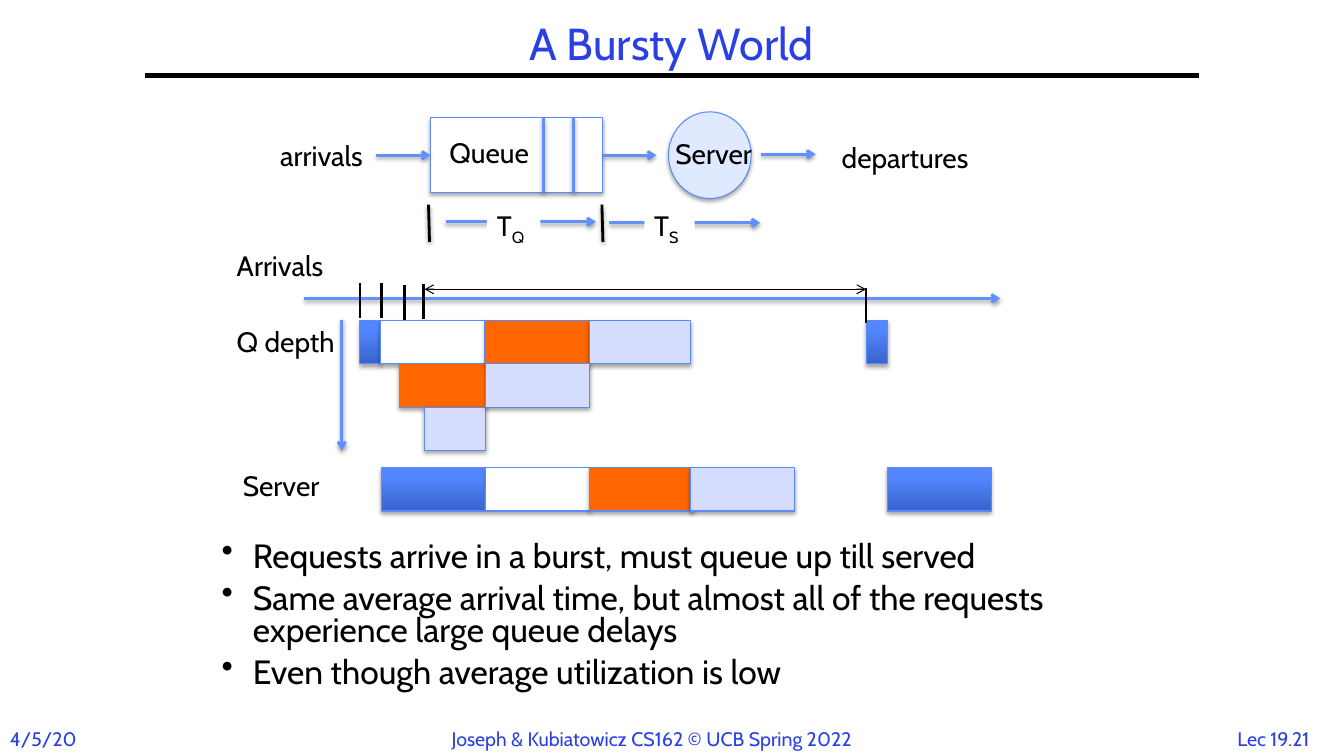
from copy import deepcopy

from lxml.etree import SubElement
from pptx import Presentation
from pptx.dml.color import RGBColor
from pptx.enum.shapes import MSO_CONNECTOR as Connector, MSO_SHAPE as Shape
from pptx.enum.text import MSO_ANCHOR as Anchor, MSO_AUTO_SIZE as AutoSize, PP_ALIGN as Align
from pptx.oxml.ns import qn
from pptx.util import Pt

PX = 9144  # 100 px to the inch
BLACK = RGBColor(0x00, 0x00, 0x00)
WHITE = RGBColor(0xFF, 0xFF, 0xFF)
INK_BLUE = RGBColor(0x2A, 0x40, 0xE2)
ARROW_BLUE = RGBColor(0x61, 0x8F, 0xFD)
EDGE_BLUE = RGBColor(0x5B, 0x8A, 0xFB)
PALE_BLUE = RGBColor(0xDF, 0xE9, 0xFF)
LILAC = RGBColor(0xD4, 0xDD, 0xFE)
ORANGE = RGBColor(0xFF, 0x66, 0x00)
DEEP_BLUE = RGBColor(0x37, 0x64, 0xCE)
MID_BLUE = RGBColor(0x54, 0x87, 0xFF)
JOB_BLUE = RGBColor(0x56, 0x88, 0xFF)

deck = Presentation()
deck.slide_width, deck.slide_height = 1333 * PX, 750 * PX
page = deck.slides.add_slide(deck.slide_layouts[6])


def add_text(text, left, top, width, height, size=20, color=BLACK, align=Align.LEFT,
             anchor=Anchor.TOP, wrap=False, line_spacing=None, gap=0, bullet=None,
             subscript=None, fill=None):
    box = page.shapes.add_textbox(left * PX, top * PX, width * PX, height * PX)
    frame = box.text_frame
    frame.word_wrap = wrap
    frame.auto_size = AutoSize.NONE if wrap else AutoSize.SHAPE_TO_FIT_TEXT
    frame.vertical_anchor = anchor
    if fill is not None:
        box.fill.solid()
        box.fill.fore_color.rgb = fill
    for index, line in enumerate(text.split("\n")):
        para = frame.add_paragraph() if index else frame.paragraphs[0]
        para.alignment = align
        if line_spacing:
            para.line_spacing = line_spacing
        if index:
            para.space_before = Pt(gap)
        if bullet:
            properties = para._p.get_or_add_pPr()
            properties.set("marL", str(31 * PX))
            properties.set("indent", str(-31 * PX))
            SubElement(properties, qn("a:buChar"), char=bullet)
        for part in filter(None, (line, subscript)):
            span = para.add_run()
            span.text = part
            span.font.name = "Cabin"
            span.font.size = Pt(size)
            span.font.color.rgb = color
            if part == subscript:
                span.font._element.set("baseline", "-25000")


def set_shadow(item, opacity, distance):
    effects = SubElement(item._element.spPr, qn("a:effectLst"))
    if opacity:
        shadow = SubElement(effects, qn("a:outerShdw"), blurRad=str(Pt(3.1)),
                            dist=str(Pt(distance)), dir="5400000", rotWithShape="0")
        tint = SubElement(shadow, qn("a:srgbClr"), val="000000")
        SubElement(tint, qn("a:alpha"), val=str(opacity * 1000))


# Queue, server and the bars of both timelines
SERVICE, BAR_HEIGHT = 103, 43
QUEUE_TOP, SERVER_TOP = 318, 464
blocks = [
    (Shape.RECTANGLE, WHITE, 427, 117, 171, 74),
    (Shape.OVAL, PALE_BLUE, 663, 111, 82, 86),
]
served_jobs = [(JOB_BLUE, 378), (WHITE, 482), (ORANGE, 585), (LILAC, 685), (JOB_BLUE, 880)]
for color, start in served_jobs:
    blocks.append((Shape.RECTANGLE, color, start, SERVER_TOP, SERVICE, BAR_HEIGHT))
waiting_jobs = [  # colour, depth, start, end
    (JOB_BLUE, 0, 357, 378), (WHITE, 0, 377, 481), (ORANGE, 1, 396, 483),
    (ORANGE, 0, 481, 585), (LILAC, 2, 421, 482), (LILAC, 0, 585, 685),
    (LILAC, 1, 482, 585), (JOB_BLUE, 0, 859, 880),
]
for color, depth, start, end in waiting_jobs:
    top = QUEUE_TOP + depth * BAR_HEIGHT
    blocks.append((Shape.RECTANGLE, color, start, top, end - start, BAR_HEIGHT))

drawn = []
for kind, color, left, top, width, height in blocks:
    block = page.shapes.add_shape(kind, left * PX, top * PX, width * PX, height * PX)
    if color == JOB_BLUE:
        block.fill.gradient()
        block.fill.gradient_angle = 90
        stop_list = block._element.spPr.find(".//" + qn("a:gsLst"))
        stop_list.append(deepcopy(stop_list[-1]))
        shades = ((0, DEEP_BLUE), (0.8, MID_BLUE), (1, JOB_BLUE))
        for stop, (position, shade) in zip(block.fill.gradient_stops, shades):
            stop.position = position
            stop.color.rgb = shade
    else:
        block.fill.solid()
        block.fill.fore_color.rgb = color
    block.line.color.rgb = EDGE_BLUE
    block.line.width = Pt(0.75)
    set_shadow(block, 35, 1.8)
    drawn.append(block)
queue = drawn[0]

# Lines: start, end, colour, width, arrowheads, shadow opacity
lines = [
    ((144, 75), (1189, 75), BLACK, 3, (), 0),
    ((421, 287), (859, 287), BLACK, 0.75, ("headEnd", "tailEnd"), 0),
]
for start, end in [
    ((373, 154), (427, 154)), ((598, 154), (651, 154)), ((755, 153), (809, 153)),
    ((442, 220), (591, 220)), ((604, 221), (754, 221)),
    ((302, 296), (992, 296)), ((339, 317), (339, 447)),
]:
    lines.append((start, end, ARROW_BLUE, 2, ("tailEnd",), 38))
for divider in (539, 569):
    lines.append(((divider, 117), (divider, 191), ARROW_BLUE, 2, (), 38))
for boundary in (425, 597):
    lines.append(((boundary, 203), (boundary + 1, 240), BLACK, 2, (), 38))
for arrival, top in ((357, 281), (378, 281), (401, 283), (420, 282), (859, 286)):
    lines.append(((arrival, top), (arrival, top + 34), BLACK, 2, (), 0))

for start, end, color, width, heads, opacity in lines:
    line = page.shapes.add_connector(Connector.STRAIGHT, *(value * PX for value in start + end))
    line.line.color.rgb = color
    line.line.width = Pt(width)
    for head in heads:
        SubElement(line.line._get_or_add_ln(), qn("a:" + head), type="arrow")
    set_shadow(line, opacity, 1.6)
    if end == (427, 154):
        line.end_connect(queue, 1)
    if start == (598, 154):
        line.begin_connect(queue, 3)

# Labels
for text, left, top, width in [
    ("Queue", 436, 130, 104), ("Server", 660, 131, 103), ("arrivals", 268, 133, 111),
    ("departures", 825, 134, 154), ("Arrivals", 225, 242, 114),
    ("Q depth", 225, 317, 120), ("Server", 231, 460, 103),
]:
    add_text(text, left, top, width, 44)
for subscript, left, width in (("Q", 483, 53), ("S", 639, 50)):
    add_text("T", left, 202, width, 44, subscript=subscript, fill=WHITE)

# Title and bullets
add_text("A Bursty World", 144, 17, 1044, 58, size=32, color=INK_BLUE, align=Align.CENTER,
         anchor=Anchor.MIDDLE, wrap=True, line_spacing=0.9)
add_text("Requests arrive in a burst, must queue up till served\n"
         "Same average arrival time, but almost all of the requests experience large queue delays\n"
         "Even though average utilization is low",
         210, 533, 900, 175, size=24, wrap=True, line_spacing=0.8, gap=7, bullet="•")

# Footer
for text, left, width, align in [
    ("4/5/20", 0, 96, Align.LEFT),
    ("Joseph & Kubiatowicz CS162 © UCB Spring 2022", 438, 455, Align.LEFT),
    ("Lec 19.21", 1209, 108, Align.CENTER),
]:
    add_text(text, left, 716, width, 34, size=14, color=INK_BLUE, align=align)

deck.save("out.pptx")
